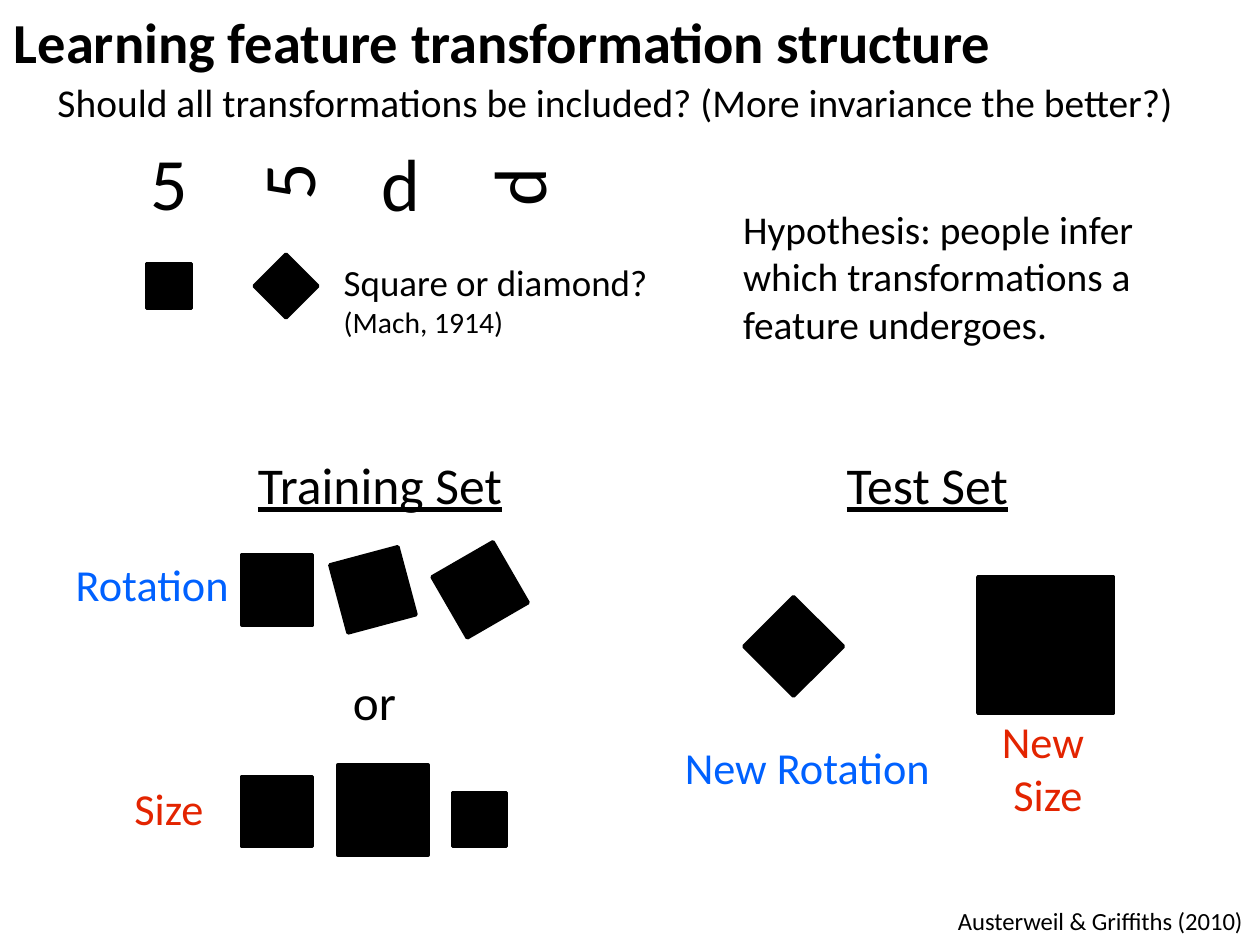
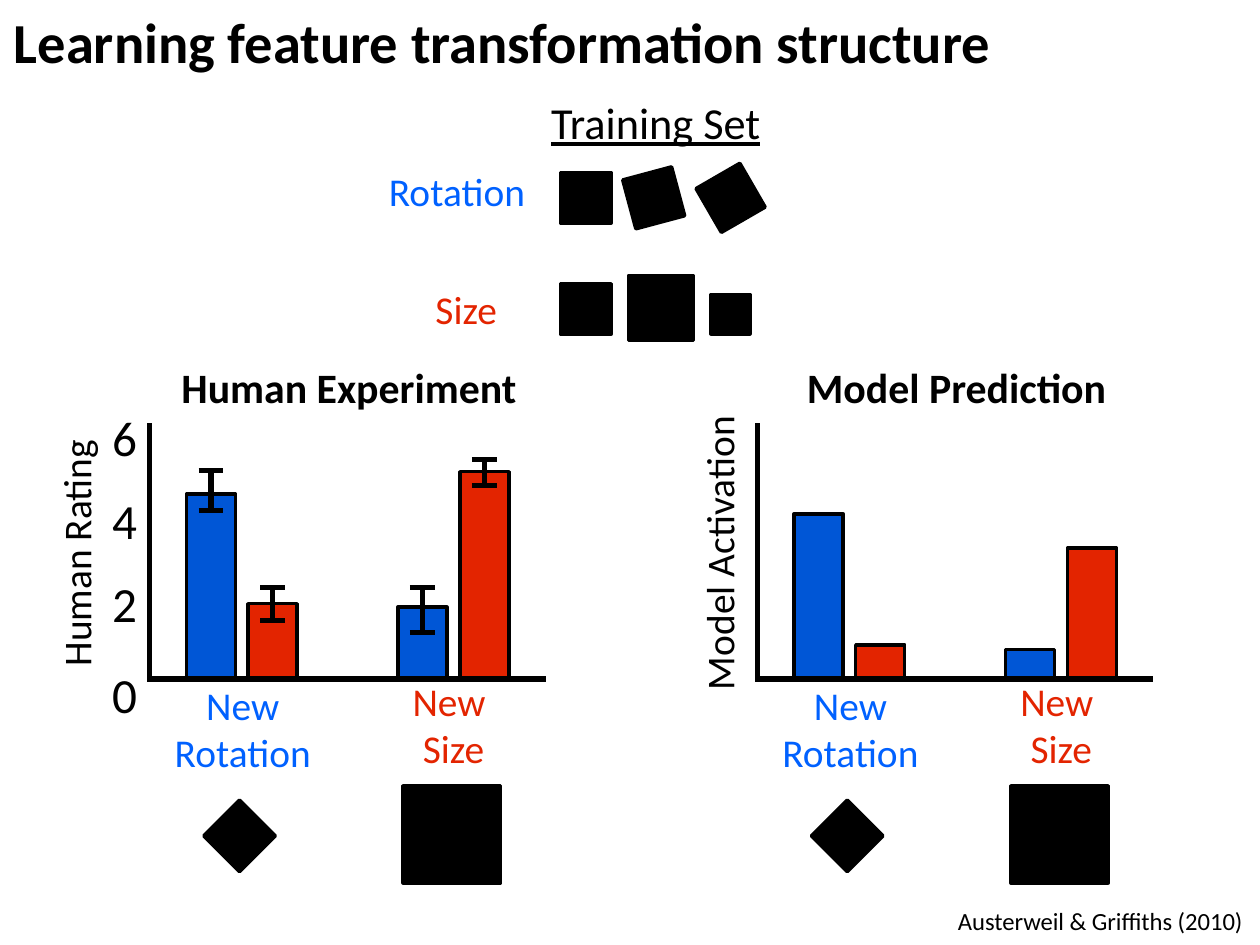
"""Build two slides on learning feature transformation structure."""
from lxml import etree
from pptx import Presentation
from pptx.dml.color import RGBColor
from pptx.enum.shapes import MSO_CONNECTOR, MSO_SHAPE
from pptx.enum.text import MSO_ANCHOR, PP_ALIGN
from pptx.oxml.ns import qn
from pptx.util import Cm, Pt

LEFT, CENTER, RIGHT = PP_ALIGN.LEFT, PP_ALIGN.CENTER, PP_ALIGN.RIGHT
MIDDLE = MSO_ANCHOR.MIDDLE
RECTANGLE = MSO_SHAPE.RECTANGLE
STRAIGHT = MSO_CONNECTOR.STRAIGHT
FONT = "Calibri"
BLACK = "000000"
BLUE = "0061FF"
BAR_BLUE = "0056D6"
RED = "E32400"
color = RGBColor.from_string


def add_text(slide, left, top, width, height, lines, size, ink=BLACK, align=LEFT,
             bold=False, underline=False, rotation=0, wrap=True, inset=0.07, spacing=None):
    box = slide.shapes.add_textbox(Cm(left), Cm(top), Cm(width), Cm(height))
    box.rotation = rotation
    frame = box.text_frame
    frame.word_wrap = wrap
    frame.vertical_anchor = MIDDLE
    frame.margin_left = frame.margin_right = Cm(inset)
    frame.margin_top = frame.margin_bottom = Cm(inset)
    for index, line in enumerate(lines):
        paragraph = frame.add_paragraph() if index else frame.paragraphs[0]
        paragraph.alignment = align
        paragraph.line_spacing = spacing
        pieces = [(line, size)] if isinstance(line, str) else line
        for text, run_size in pieces:
            run = paragraph.add_run()
            run.text = text
            run.font.name = FONT
            run.font.size = Pt(run_size)
            run.font.bold = bold
            run.font.underline = underline
            run.font.color.rgb = color(ink)


def add_box(slide, left, top, width, height, fill=BLACK, rotation=0):
    shape = slide.shapes.add_shape(RECTANGLE, Cm(left), Cm(top), Cm(width), Cm(height))
    shape.shadow.inherit = False
    shape.rotation = rotation
    shape.fill.solid()
    shape.fill.fore_color.rgb = color(fill)
    shape.line.color.rgb = color(BLACK)
    shape.line.width = Pt(2)


presentation = Presentation()
presentation.slide_width = Cm(25.4)
presentation.slide_height = Cm(19.05)
blank = presentation.slide_layouts[6]
question_slide = presentation.slides.add_slide(blank)
result_slide = presentation.slides.add_slide(blank)

for slide in (question_slide, result_slide):
    add_text(slide, 0.18, 0.05, 24.89, 1.57, ["Learning feature transformation structure"],
             32.3, bold=True, inset=0.1)
    add_text(slide, 16.46, 18.16, 8.69, 0.81, ["Austerweil & Griffiths (2010)"],
             14.1, align=RIGHT, inset=0.1)

add_text(question_slide, 1.09, 1.5, 23.19, 1.12,
         ["Should all transformations be included? (More invariance the better?)"], 22.5)
for text, left, top, rotation in (("5", 2.95, 2.67, 0), ("5", 5.31, 2.69, 270),
                                  ("d", 7.62, 2.69, 0), ("d", 9.96, 2.79, 270)):
    add_text(question_slide, left, top, 0.92, 1.96, [text], 42.2, align=CENTER,
             rotation=rotation, wrap=False)
for left, rotation in ((2.95, 0), (5.31, 315)):
    add_box(question_slide, left, 5.31, 0.91, 0.91, rotation=rotation)
add_text(question_slide, 6.86, 4.78, 6.43, 2.51,
         [[("Square or diamond? ", 21.1), ("(Mach, 1914)", 16.9)]], 21.1)
add_text(question_slide, 14.91, 4.04, 9.98, 3.05,
         ["Hypothesis: people infer which transformations a feature undergoes."], 22.5)

for text, left, top, width in (("Training Set", 4.98, 9.09, 5.36), ("Test Set", 16.56, 9.1, 4.27)):
    add_text(question_slide, left, top, width, 1.32, [text], 29.5, align=CENTER, underline=True)
add_text(question_slide, -0.43, 10.85, 5.11, 1.85, ["Rotation"], 25.3, BLUE, RIGHT)
add_text(question_slide, 1.12, 15.29, 3.05, 2.01, ["Size"], 25.3, RED, RIGHT)
add_text(question_slide, 7.04, 13.46, 1.02, 1.35, ["or"], 28.1, align=CENTER, wrap=False)
add_text(result_slide, 10.54, 1.8, 5.36, 1.32, ["Training Set"], 25.3,
         align=CENTER, underline=True)
add_text(result_slide, 7.77, 3.28, 3.25, 1.14, ["Rotation"], 22.5, BLUE)
add_text(result_slide, 8.71, 5.66, 1.6, 1.14, ["Size"], 22.5, RED)

training_squares = (
    (question_slide, 11.18, 1.42, (4.88, 6.81, 8.97),
     ((4.88, 15.65, 1.42), (6.81, 15.42, 1.82), (9.12, 15.98, 1.09))),
    (result_slide, 3.48, 1.02, (11.3, 12.67, 14.22),
     ((11.3, 5.72, 1.02), (12.67, 5.56, 1.31), (14.33, 5.94, 0.79))),
)
for slide, rotated_top, rotated_side, rotated_lefts, sized_squares in training_squares:
    for step, left in enumerate(rotated_lefts):
        add_box(slide, left, rotated_top, rotated_side, rotated_side,
                rotation=(360 - 15 * step) % 360)
    for left, top, side in sized_squares:
        add_box(slide, left, top, side, side)

add_box(question_slide, 15.29, 12.32, 1.42, 1.42, rotation=315)
add_box(question_slide, 19.71, 11.63, 2.74, 2.74)
add_text(question_slide, 13.72, 14.27, 5.11, 2.39, ["New Rotation"], 25.3, BLUE, CENTER)
add_text(question_slide, 18.57, 14.27, 5.11, 2.39, ["New ", "Size"], 25.3, RED, CENTER)

BASELINE = 13.69
BAR_WIDTH = 0.99
bar_offsets = (0.74, 1.98, 5, 6.25)
bar_fills = (BAR_BLUE, RED, BAR_BLUE, RED)
panels = (
    ("Human Experiment", "Human Rating", 3.02, -2.16, (3.73, 1.52, 1.45, 4.18),
     ((9.49, 10.29), (11.85, 12.51), (11.84, 12.75), (9.27, 9.78))),
    ("Model Prediction", "Model Activation", 15.27, 10.8, (3.33, 0.69, 0.6, 2.64), ()),
)
lines = []
for heading, axis_title, axis, axis_title_left, bar_heights, error_ranges in panels:
    add_text(result_slide, axis - 0.81, 7.21, 9.65, 1.17, [heading], 23.9,
             align=CENTER, bold=True)
    add_text(result_slide, axis_title_left, 10.59, 7.37, 1.12, [axis_title], 22.5,
             align=CENTER, rotation=270)
    for offset, height, fill in zip(bar_offsets, bar_heights, bar_fills):
        add_box(result_slide, axis + offset, BASELINE - height, BAR_WIDTH, height, fill)
    for offset, (high, low) in zip(bar_offsets, error_ranges):
        middle = axis + offset + BAR_WIDTH / 2
        lines.append((middle, high, middle, low))
        for cap in (high, low):
            lines.append((middle - 0.25, cap, middle + 0.25, cap))
    lines.append((axis, 8.53, axis, BASELINE + 0.05))
    lines.append((axis - 0.03, BASELINE, axis + 7.98, BASELINE))
    add_text(result_slide, axis - 0.08, 13.64, 3.91, 2.08, ["New Rotation"], 22.5, BLUE, CENTER)
    add_text(result_slide, axis + 4.17, 13.56, 3.91, 2.08, ["New ", "Size"], 22.5, RED, CENTER)
    add_box(result_slide, axis + 1.3, 16.34, 1.02, 1.02, rotation=315)
    add_box(result_slide, axis + 5.11, 15.84, 1.96, 1.96)

for tick, top in (("0", 12.8), ("2", 10.97), ("4", 9.3), ("6", 7.62)):
    add_text(result_slide, 2.18, top, 0.66, 1.78, [tick], 28.1, align=CENTER,
             wrap=False, spacing=1.5)

for start_x, start_y, end_x, end_y in lines:
    connector = result_slide.shapes.add_connector(
        STRAIGHT, Cm(start_x), Cm(start_y), Cm(end_x), Cm(end_y))
    connector.line.color.rgb = color(BLACK)
    connector.line.width = Pt(3)
    etree.SubElement(connector._element.spPr, qn("a:effectLst"))

presentation.save("out.pptx")
